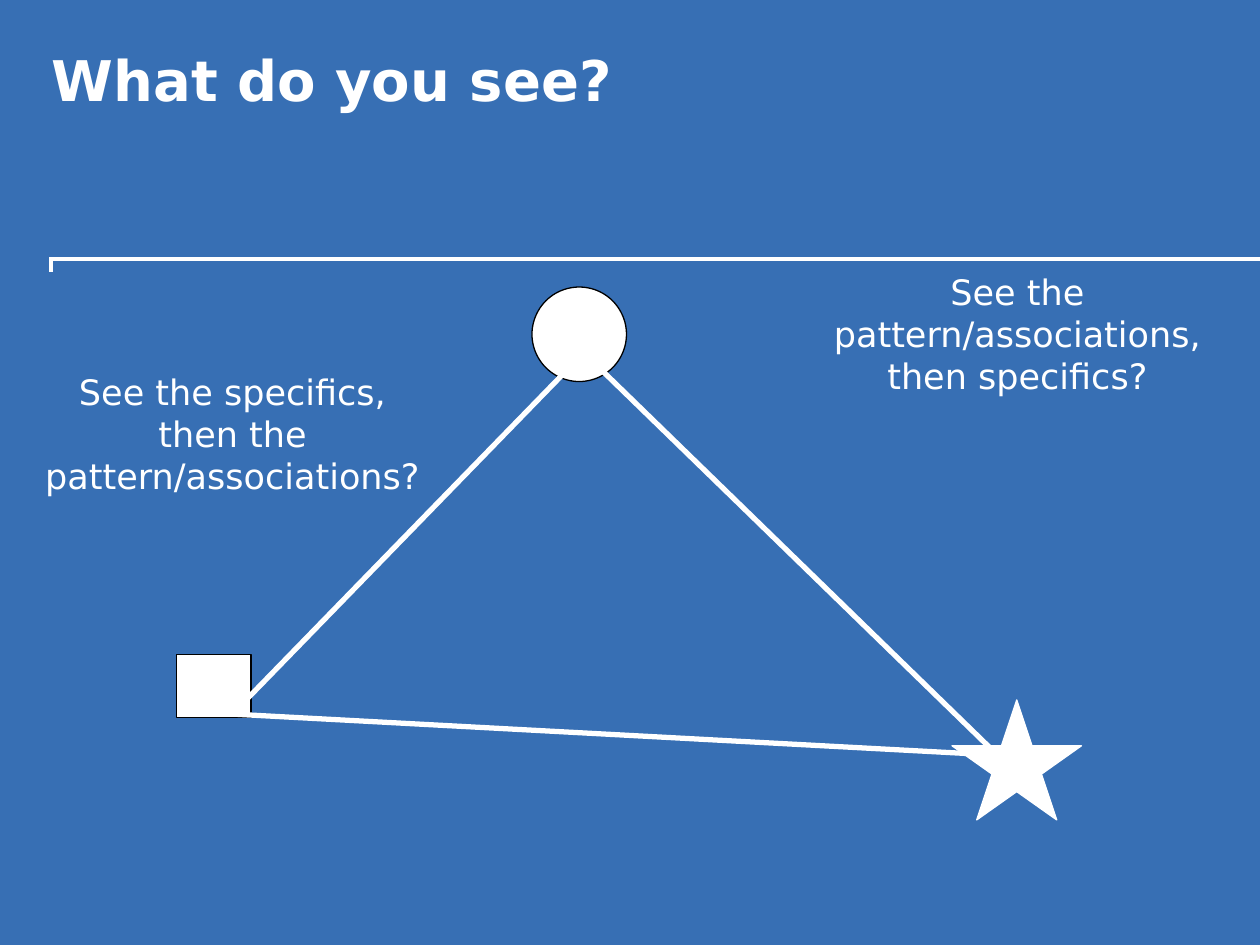
"""Build the "What do you see?" slide: three shapes joined by a triangle."""
from lxml import etree
from pptx import Presentation
from pptx.dml.color import RGBColor
from pptx.enum.shapes import MSO_CONNECTOR, MSO_SHAPE
from pptx.enum.text import MSO_ANCHOR, PP_ALIGN
from pptx.oxml.ns import qn
from pptx.util import Pt

STRAIGHT = MSO_CONNECTOR.STRAIGHT
OVAL, SQUARE = MSO_SHAPE.OVAL, MSO_SHAPE.RECTANGLE
TRIANGLE, STAR = MSO_SHAPE.RIGHT_TRIANGLE, MSO_SHAPE.STAR_5_POINT
LEFT, CENTER, TOP = PP_ALIGN.LEFT, PP_ALIGN.CENTER, MSO_ANCHOR.TOP

FONT, BLUE, WHITE, BLACK = "DejaVu Sans", "376FB4", "FFFFFF", "000000"
SLIDE_SIZE = (720, 540)

TITLE = ("What do you see?", (22.3, 22.3, 484, 75))
QUESTIONS = [
    ("See the specifics, then the pattern/associations?", (16.6, 208, 232.6, 80)),
    ("See the pattern/associations, then specifics?", (468, 151.2, 226.8, 80)),
]
RULES = [(28.1, 147.9, 720, 147.9), (29.2, 148.3, 29.2, 155.5)]
FIGURES = [
    (OVAL, (304, 164, 54, 54), WHITE, BLACK, 0.75, 0),
    (SQUARE, (101, 374, 42.5, 36), WHITE, BLACK, 0.75, 0),
    (TRIANGLE, (207.4, 254.9, 288, 329.8), None, WHITE, 3, 134.2),
    (STAR, (544, 400, 74, 68.6), WHITE, WHITE, 0.75, 0),
]


def color(value):
    return RGBColor.from_string(value)


def points(values):
    return [Pt(value) for value in values]


def write(box, text, size, bold=False, align=LEFT):
    frame = box.text_frame
    frame.word_wrap = True
    frame.vertical_anchor = TOP
    para = frame.paragraphs[0]
    para.alignment = align
    para.space_before = Pt(0)
    span = para.add_run()
    span.text = text
    span.font.name = FONT
    span.font.size = Pt(size)
    span.font.bold = bold
    span.font.color.rgb = color(WHITE)


def add_rule(page, ends):
    rule = page.shapes.add_connector(STRAIGHT, *points(ends))
    rule.line.color.rgb = color(WHITE)
    rule.line.width = Pt(2.25)
    etree.SubElement(rule._element.spPr, qn("a:effectLst"))


def add_figure(page, kind, place, fill, line, weight, turn):
    figure = page.shapes.add_shape(kind, *points(place))
    figure.shadow.inherit = False
    figure.rotation = turn
    if fill:
        figure.fill.solid()
        figure.fill.fore_color.rgb = color(fill)
    else:
        figure.fill.background()
    figure.line.color.rgb = color(line)
    figure.line.width = Pt(weight)


def main():
    deck = Presentation()
    deck.slide_width, deck.slide_height = points(SLIDE_SIZE)
    page = deck.slides.add_slide(deck.slide_layouts[5])
    page.background.fill.solid()
    page.background.fill.fore_color.rgb = color(BLUE)

    for ends in RULES:
        add_rule(page, ends)
    for figure in FIGURES:
        add_figure(page, *figure)
    for text, place in QUESTIONS:
        write(page.shapes.add_textbox(*points(place)), text, 20, align=CENTER)

    text, place = TITLE
    title = page.shapes.title
    title.left, title.top, title.width, title.height = points(place)
    write(title, text, 32, bold=True)

    deck.save("out.pptx")


if __name__ == "__main__":
    main()
